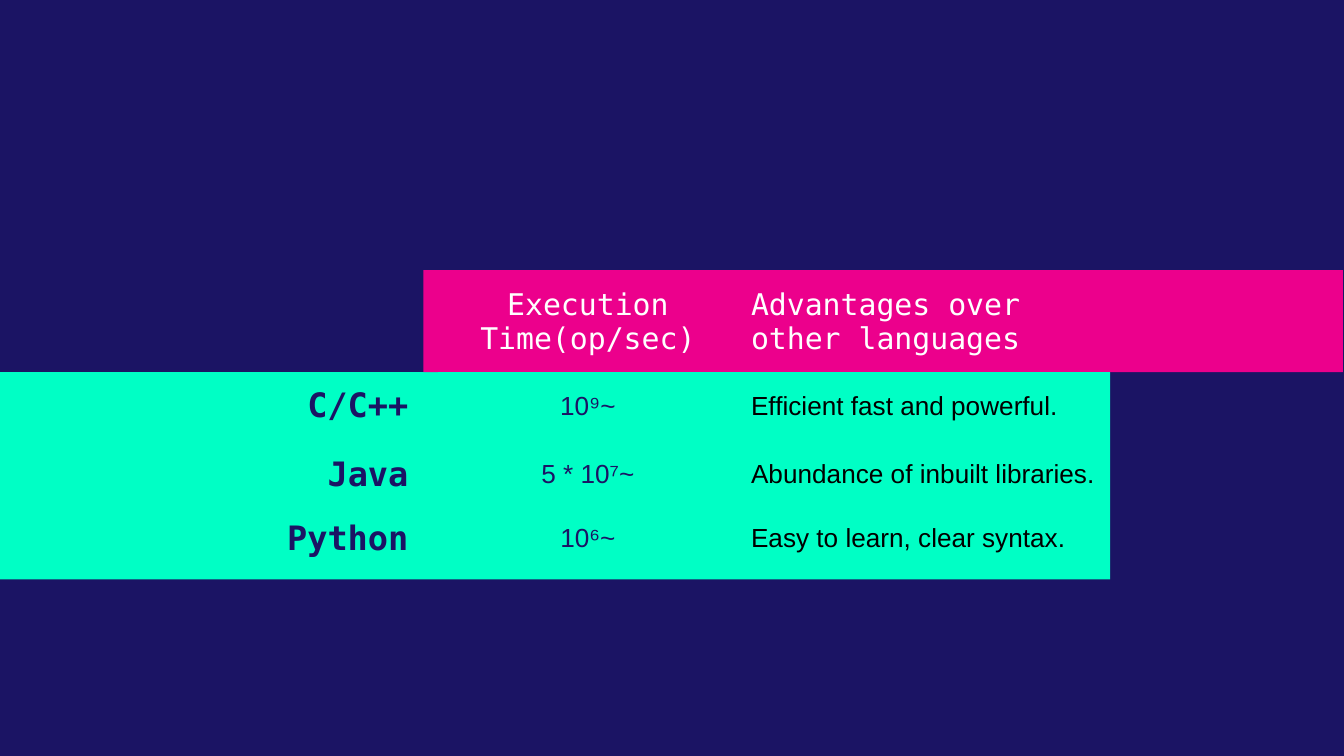
from dataclasses import dataclass

from pptx import Presentation
from pptx.dml.color import RGBColor
from pptx.enum import shapes, text
from pptx.oxml.ns import qn
from pptx.util import Pt

NO_STYLE = "{2D5ABB26-0587-4C30-8999-92F81FD0307C}"
ALIGN = text.PP_ALIGN


@dataclass(frozen=True)
class Theme:
    navy: str = "1B1464"
    mint: str = "00FFC5"
    pink: str = "EC008C"
    white: str = "FFFFFF"
    black: str = "000000"
    mono: str = "DejaVu Sans Mono"
    sans: str = "Arial"
    label_size: int = 18
    header_size: int = 16
    body_size: int = 14


@dataclass(frozen=True)
class CellStyle:
    font: str
    size: int
    color: str
    align: ALIGN
    fill: str | None = None
    bold: bool = False
    right: float = 7.2


class Deck:
    """Holds the theme and the current slide; lengths are in points."""

    def __init__(self, prs, theme):
        self.theme = theme
        self.s = prs.slides.add_slide(prs.slide_layouts[6])
        self.paint(self.s.background.fill, theme.navy)

    def paint(self, fill, color):
        if color is None:
            fill.background()
        else:
            fill.solid()
            fill.fore_color.rgb = RGBColor.from_string(color)

    def band(self, x, y, w, h, color):
        sp = self.s.shapes.add_shape(
            shapes.MSO_SHAPE.RECTANGLE, Pt(x), Pt(y), Pt(w), Pt(h))
        sp.shadow.inherit = False
        sp.line.fill.background()
        self.paint(sp.fill, color)

    def cell(self, cell, words, style):
        self.paint(cell.fill, style.fill)
        cell.vertical_anchor = text.MSO_ANCHOR.MIDDLE
        cell.margin_left, cell.margin_right = Pt(7.2), Pt(style.right)
        cell.margin_top = cell.margin_bottom = Pt(5)
        cell.text = words
        p = cell.text_frame.paragraphs[0]
        p.alignment = style.align
        p.font.name = style.font
        p.font.size = Pt(style.size)
        p.font.bold = style.bold
        p.font.color.rgb = RGBColor.from_string(style.color)

    def table(self, x, y, widths, heights, rows, styles):
        """Draw a borderless table; styles has one list of cell styles per row."""
        frame = self.s.shapes.add_table(
            len(rows), len(widths), Pt(x), Pt(y), Pt(sum(widths)), Pt(sum(heights)))
        tbl = frame.table
        tbl.first_row = tbl.horz_banding = False
        frame._element.find(".//" + qn("a:tableStyleId")).text = NO_STYLE
        for column, width in zip(tbl.columns, widths):
            column.width = Pt(width)
        for row, height, words, row_styles in zip(tbl.rows, heights, rows, styles):
            row.height = Pt(height)
            for cell, value, style in zip(row.cells, words, row_styles):
                self.cell(cell, value, style)


def main():
    prs = Presentation()
    prs.slide_width, prs.slide_height = Pt(720), Pt(405)
    t = Theme()
    deck = Deck(prs, t)

    deck.band(0, 199.4, 594.7, 111, t.mint)
    deck.band(226.8, 144.7, 492.7, 54.7, t.pink)

    label = CellStyle(t.mono, t.label_size, t.navy, ALIGN.RIGHT, bold=True, right=16)
    header = [label,
              CellStyle(t.mono, t.header_size, t.white, ALIGN.CENTER, t.pink),
              CellStyle(t.mono, t.header_size, t.white, ALIGN.LEFT, t.pink)]
    body = [label,
            CellStyle(t.sans, t.body_size, t.navy, ALIGN.CENTER, t.mint),
            CellStyle(t.sans, t.body_size, t.black, ALIGN.LEFT, t.mint)]
    rows = [
        ("", "Execution Time(op/sec)", "Advantages over other languages"),
        ("C/C++", "10⁹~", "Efficient fast and powerful."),
        ("Java", "5 * 10⁷~", "Abundance of inbuilt libraries."),
        ("Python", "10⁶~", "Easy to learn, clear syntax."),
    ]
    deck.table(101.6, 145.7, [133.2, 160.4, 199.5], [53.6, 36.7, 36.7, 32],
               rows, [header] + [body] * 3)

    prs.save("out.pptx")


if __name__ == "__main__":
    main()
